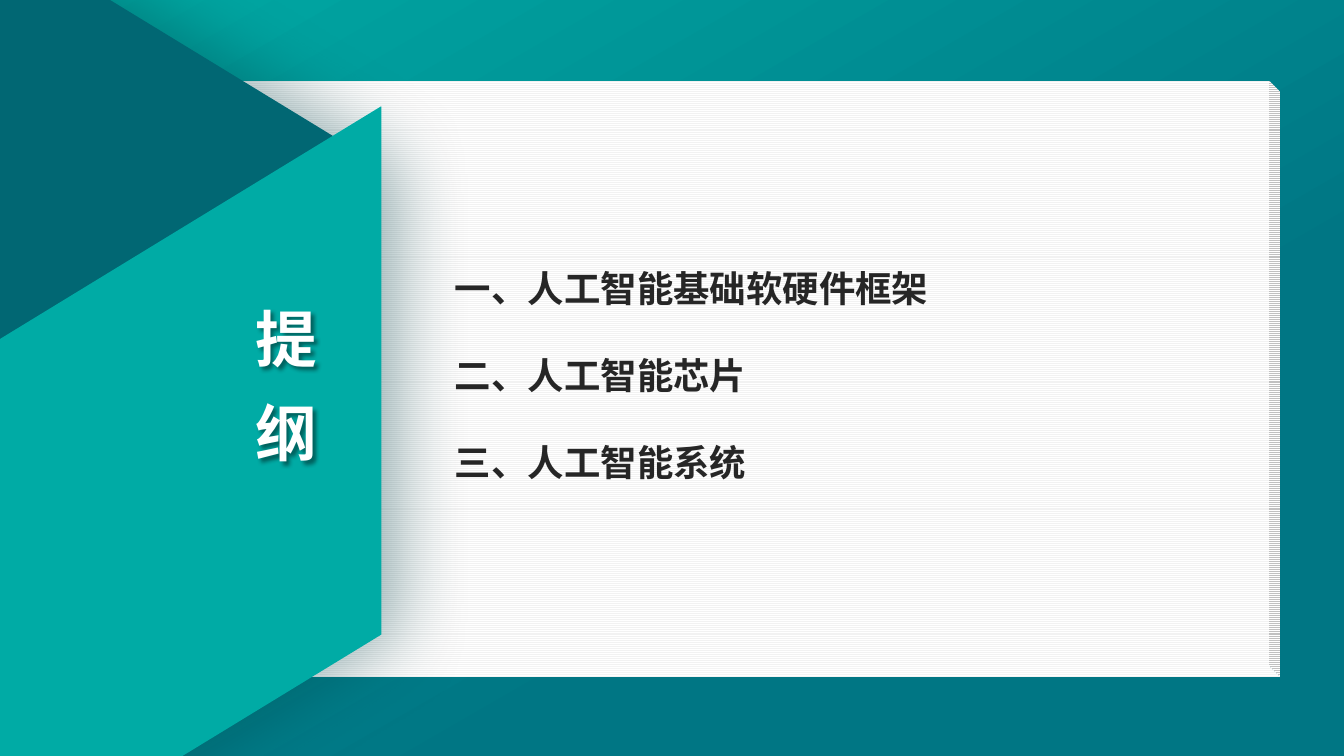
from dataclasses import dataclass
from typing import Optional
from lxml import etree
from pptx import Presentation, util as u
from pptx.dml.color import RGBColor
from pptx.enum import dml, shapes, text
from pptx.oxml.ns import qn

PX = 914400 / 100.8
FONT = "Noto Sans CJK SC"


@dataclass
class Box:
    left: int
    top: int
    width: int
    height: int


@dataclass
class Shade:
    color: str
    alpha: int
    blur: int
    dist: int
    angle: int


@dataclass
class Panel:
    kind: shapes.MSO_SHAPE
    box: Box
    adj: float
    turn: float = 0
    flip: bool = False
    solid: Optional[str] = None
    grad: tuple = ()
    weave: tuple = ()
    shade: Optional[Shade] = None


@dataclass
class Block:
    box: Box
    lines: list[str]
    size: int
    pitch: int
    color: str
    align: text.PP_ALIGN
    side: int = 0
    head: int = 0
    shade: Optional[Shade] = None


def px(value: int) -> u.Emu:
    return u.Emu(round(value * PX))


def rgb(code: str) -> RGBColor:
    return RGBColor.from_string(code)


def place(shape, box: Box) -> None:
    shape.left, shape.top = px(box.left), px(box.top)
    shape.width, shape.height = px(box.width), px(box.height)


def blend(fill, stops: tuple, angle: int) -> None:
    fill.gradient()
    fill.gradient_angle = 360 - angle
    for stop, (pos, code) in zip(fill.gradient_stops, stops):
        stop.position = pos
        stop.color.rgb = rgb(code)


def cast(shape, shade: Optional[Shade]) -> None:
    shape.shadow.inherit = False
    if shade is None:
        return
    effects = shape.element.spPr.find(qn("a:effectLst"))
    outer = etree.SubElement(
        effects, qn("a:outerShdw"), blurRad=str(u.Pt(shade.blur)),
        dist=str(u.Pt(shade.dist)), dir=str(shade.angle * 60000),
        algn="ctr", rotWithShape="0")
    tint = etree.SubElement(outer, qn("a:srgbClr"), val=shade.color)
    etree.SubElement(tint, qn("a:alpha"), val=str(shade.alpha * 1000))


def draw(slide, panel: Panel) -> None:
    shape = slide.shapes.add_shape(panel.kind, 0, 0, 0, 0)
    place(shape, panel.box)
    shape.adjustments[0] = panel.adj
    shape.rotation = panel.turn
    if panel.flip:
        shape.element.spPr.find(qn("a:xfrm")).set("flipV", "1")
    shape.line.fill.background()
    if panel.solid:
        shape.fill.solid()
        shape.fill.fore_color.rgb = rgb(panel.solid)
    elif panel.grad:
        blend(shape.fill, panel.grad, 90)
    else:
        shape.fill.patterned()
        shape.fill.pattern = dml.MSO_PATTERN.LIGHT_HORIZONTAL
        shape.fill.fore_color.rgb = rgb(panel.weave[0])
        shape.fill.back_color.rgb = rgb(panel.weave[1])
    cast(shape, panel.shade)


def write(slide, shape, block: Block) -> None:
    slide.shapes.element.append(shape.element)
    place(shape, block.box)
    cast(shape, block.shade)
    frame = shape.text_frame
    frame.word_wrap = True
    frame.auto_size = text.MSO_AUTO_SIZE.NONE
    frame.vertical_anchor = text.MSO_ANCHOR.TOP
    frame.margin_left = frame.margin_right = px(block.side)
    frame.margin_top, frame.margin_bottom = px(block.head), 0
    frame.text = "\n".join(block.lines)
    for para in frame.paragraphs:
        para.alignment = block.align
        para.line_spacing = u.Pt(block.pitch)
        para.space_before = para.space_after = u.Pt(0)
        para.font.size = u.Pt(block.size)
        para.font.bold = True
        para.font.name = FONT
        para.font.color.rgb = rgb(block.color)
        props = para._p.get_or_add_pPr()
        props.set("marL", "0")
        props.set("indent", "0")
        etree.SubElement(props.find(qn("a:defRPr")), qn("a:ea"), typeface=FONT)
        props.find(qn("a:defRPr")).addprevious(etree.Element(qn("a:buNone")))
        for run in para.runs:
            etree.SubElement(run._r.get_or_add_rPr(), qn("a:ea"), typeface=FONT)


PANELS = [
    Panel(shapes.MSO_SHAPE.CUBE, Box(0, 81, 1280, 596), 0.018, flip=True,
          weave=("F2F2F2", "FFFFFF")),
    Panel(shapes.MSO_SHAPE.HEXAGON, Box(-626, -80, 1054, 959), 0.305, turn=90,
          grad=((0.77, "016773"), (1, "007684")),
          shade=Shade("013F45", 40, 55, 13, 0)),
    Panel(shapes.MSO_SHAPE.PARALLELOGRAM, Box(-276, 291, 836, 451), 0.61,
          turn=328.6, solid="00ABA5"),
]
TITLE = Block(Box(226, 281, 120, 188), ["提", "纲"], 44, 67, "FFFFFF",
              text.PP_ALIGN.CENTER, shade=Shade("000000", 43, 3, 3, 45))
TOPICS = Block(Box(445, 215, 721, 270),
               ["一、人工智能基础软硬件框架", "二、人工智能芯片", "三、人工智能系统"],
               26, 62, "262626", text.PP_ALIGN.LEFT, side=10, head=8)


def main() -> None:
    deck = Presentation()
    deck.slide_width, deck.slide_height = px(1344), px(756)
    slide = deck.slides.add_slide(deck.slide_layouts[1])
    blend(slide.background.fill, ((0, "00ABA5"), (0.67, "007684")), 60)
    for panel in PANELS:
        draw(slide, panel)
    write(slide, slide.shapes.title, TITLE)
    write(slide, slide.placeholders[1], TOPICS)
    deck.save("out.pptx")


if __name__ == "__main__":
    main()
